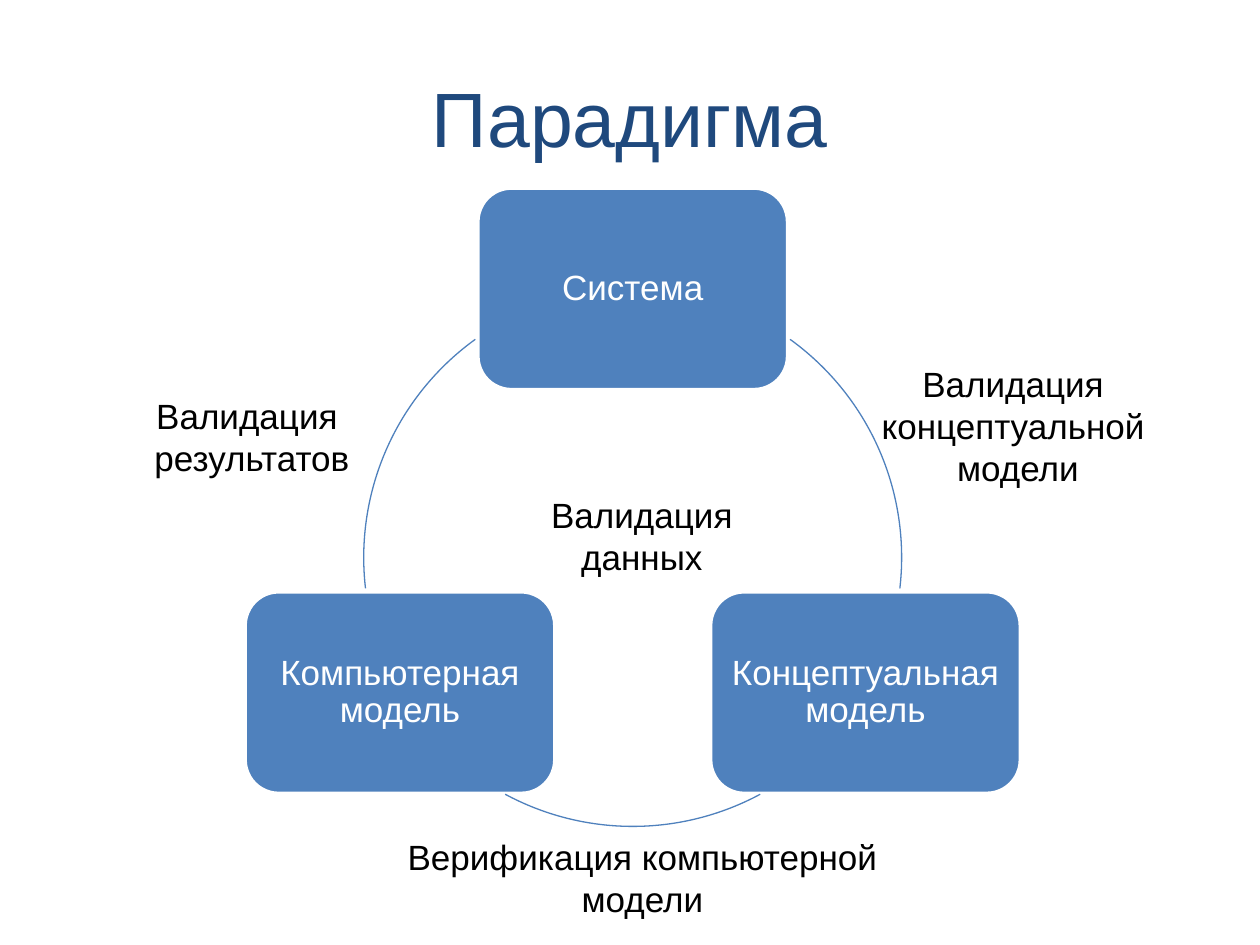
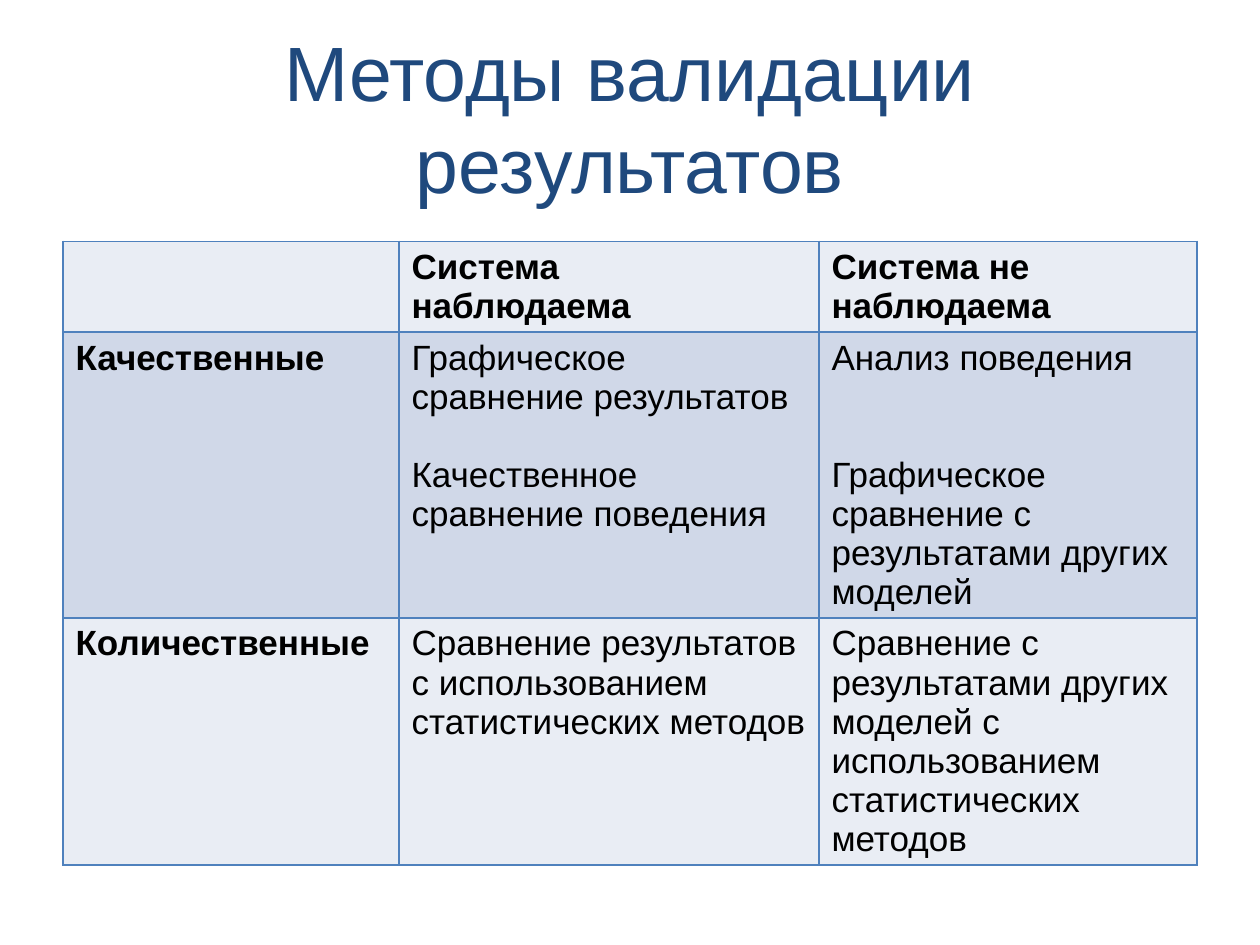
"""Build two slides: the modelling paradigm cycle and the table of validation methods."""
from lxml import etree
from pptx import Presentation
from pptx.dml.color import RGBColor
from pptx.enum import shapes, text
from pptx.oxml import ns
from pptx.util import Pt

HUES = {"title": "1F497D", "blue": "4F81BD", "white": "FFFFFF", "black": "000000",
        "light": "E9EDF4", "dark": "D0D8E8"}
HUES = {name: RGBColor.from_string(code) for name, code in HUES.items()}
MID = text.PP_ALIGN.CENTER


def write(frame, lines, hue, size=20, align=MID, bold=False):
    frame.text = "\n".join(lines)
    for par in frame.paragraphs:
        par.alignment = align
        par.font.name = "Arial"
        par.font.size = Pt(size)
        par.font.bold = bold
        par.font.color.rgb = HUES[hue]


def add_page(deck, title):
    page = deck.slides.add_slide(deck.slide_layouts[6])
    box = page.shapes.add_textbox(Pt(36), Pt(21.6), Pt(648), Pt(90))
    box.text_frame.word_wrap = True
    box.text_frame.vertical_anchor = text.MSO_ANCHOR.MIDDLE
    write(box.text_frame, [title], "title", 44)
    return page


deck = Presentation()
deck.slide_width, deck.slide_height = Pt(720), Pt(540)

page = add_page(deck, "Парадигма")
mid_x, mid_y, radius = 361.6, 318.6, 153.7
wide, high = 177, 115.2

nodes = [("Система", 0, 107.5), ("Концептуальная модель", 133, 338.2),
         ("Компьютерная модель", -133, 338.2)]
for name, shift, top in nodes:
    node = page.shapes.add_shape(shapes.MSO_SHAPE.ROUNDED_RECTANGLE,
                                 Pt(mid_x + shift - wide / 2), Pt(top), Pt(wide), Pt(high))
    node.shadow.inherit = False
    node.fill.solid()
    node.fill.fore_color.rgb = HUES["blue"]
    node.line.color.rgb = HUES["white"]
    node.line.width = Pt(2)
    frame = node.text_frame
    frame.word_wrap = True
    frame.vertical_anchor = text.MSO_ANCHOR.MIDDLE
    frame.margin_left = frame.margin_right = Pt(1.5)
    write(frame, [name], "white")
    frame.paragraphs[0].line_spacing = 0.9

for start, end in [(305.8, 6.6), (61.7, 118.3), (173.4, 234.2)]:
    arc = page.shapes.add_shape(shapes.MSO_SHAPE.ARC, Pt(mid_x - radius), Pt(mid_y - radius),
                                Pt(2 * radius), Pt(2 * radius))
    arc.adjustments[0], arc.adjustments[1] = start * 0.6, end * 0.6
    arc.shadow.inherit = False
    arc.fill.background()
    arc.line.color.rgb = HUES["blue"]
    arc.line.width = Pt(0.75)

labels = [(["Валидация ", "концептуальной ", "модели"], 496, 203.8, 171.4),
          (["Верификация компьютерной", "модели"], 224.6, 473.8, 285.1),
          (["Валидация ", "результатов"], 80.6, 221.8, 126.7),
          (["Валидация", "данных"], 307.4, 278.6, 118.8)]
for lines, left, top, span in labels:
    box = page.shapes.add_textbox(Pt(left), Pt(top), Pt(span), Pt(24 * len(lines) + 7.2))
    box.text_frame.word_wrap = False
    write(box.text_frame, lines, "black")

page = add_page(deck, "Методы валидации результатов")
pitch = 22.3
cols, rows = [192, 240, 216], [51.6, 163.4, 141.2]
cells = [
    [[], ["Система", "наблюдаема"], ["Система не наблюдаема"]],
    [["Качественные"],
     ["Графическое сравнение результатов", "Качественное сравнение поведения"],
     ["Анализ поведения", "Графическое сравнение с результатами других моделей"]],
    [["Количественные"],
     ["Сравнение результатов с использованием статистических методов"],
     ["Сравнение с результатами других моделей с использованием статистических методов"]],
]
gaps = {(1, 1): pitch, (1, 2): 2 * pitch}
grid = page.shapes.add_table(3, 3, Pt(36), Pt(137.9), Pt(sum(cols)), Pt(sum(rows))).table
for col, span in zip(grid.columns, cols):
    col.width = Pt(span)
for r, row in enumerate(cells):
    grid.rows[r].height = Pt(rows[r])
    for c, lines in enumerate(row):
        cell = grid.cell(r, c)
        write(cell.text_frame, lines, "black", align=text.PP_ALIGN.LEFT, bold=r == 0 or c == 0)
        for par in cell.text_frame.paragraphs:
            par.line_spacing = Pt(pitch)
        if (r, c) in gaps:
            par.space_before = Pt(gaps[r, c])
        props = cell._tc.get_or_add_tcPr()
        for side in "LRTB":
            edge = etree.SubElement(props, ns.qn(f"a:ln{side}"), w=str(Pt(1)))
            fill = etree.SubElement(edge, ns.qn("a:solidFill"))
            etree.SubElement(fill, ns.qn("a:srgbClr"), val=str(HUES["blue"]))
        cell.fill.solid()
        cell.fill.fore_color.rgb = HUES["dark" if r == 1 else "light"]

deck.save("out.pptx")
